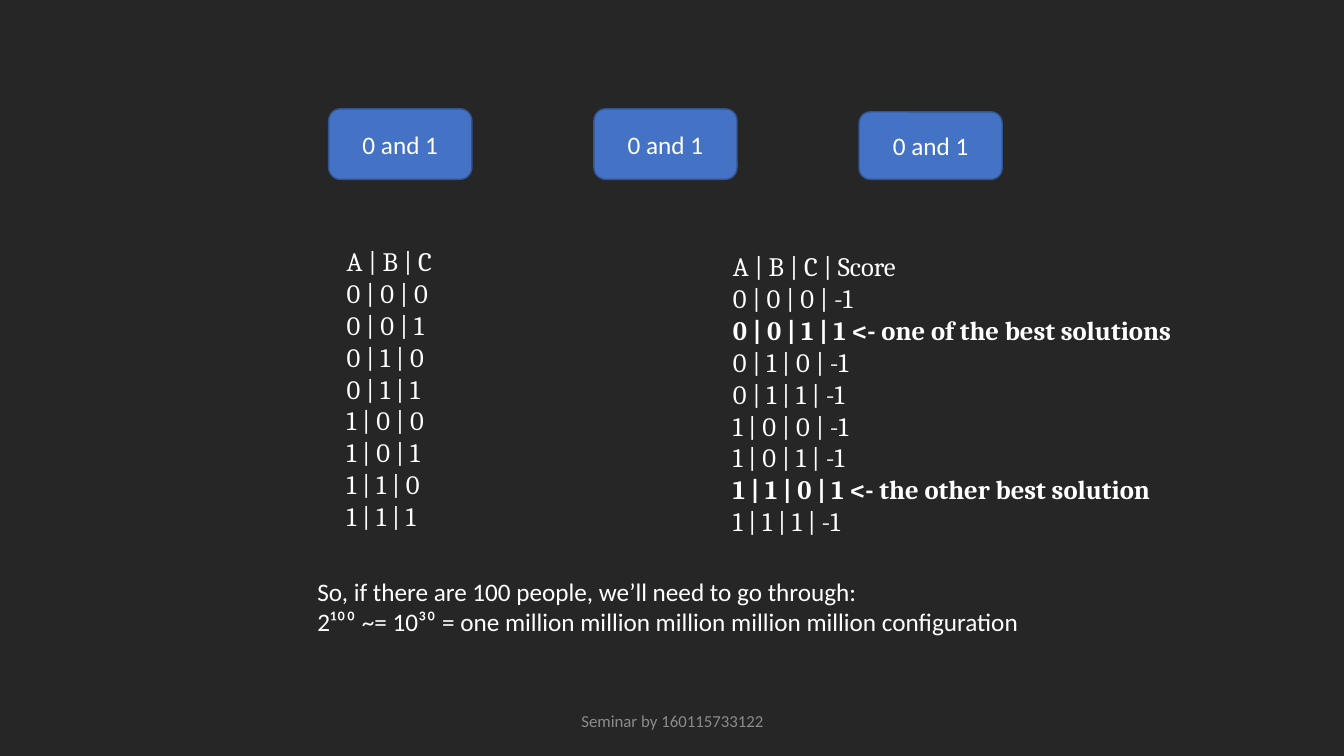
from itertools import product

from pptx import Presentation
from pptx.dml.color import RGBColor
from pptx.enum.shapes import MSO_SHAPE
from pptx.enum.text import MSO_ANCHOR, PP_ALIGN
from pptx.util import Inches, Pt

BACKGROUND = RGBColor(0x26, 0x26, 0x26)
BLUE = RGBColor(0x44, 0x72, 0xC4)
DARK_BLUE = RGBColor(0x32, 0x54, 0x91)
WHITE = RGBColor(0xFF, 0xFF, 0xFF)
GREY = RGBColor(0x8C, 0x8C, 0x8C)

CONFIGURATIONS = [" | ".join(bits) for bits in product("01", repeat=3)]
BEST = {
    "0 | 0 | 1": "1 <- one of the best solutions",
    "1 | 1 | 0": "1 <- the other best solution",
}


def write(sp, paragraphs, size=18, font="Calibri", color=WHITE,
          align=PP_ALIGN.LEFT, anchor=MSO_ANCHOR.TOP, wrap=True):
    """Fill a shape with paragraphs, each a list of (line, bold) pairs."""
    tf = sp.text_frame
    tf.word_wrap = wrap
    tf.vertical_anchor = anchor
    for i, lines in enumerate(paragraphs):
        p = tf.add_paragraph() if i else tf.paragraphs[0]
        p.alignment = align
        for j, (line, bold) in enumerate(lines):
            if j:
                p.add_line_break()
            r = p.add_run()
            r.text = line
            r.font.name = font
            r.font.size = Pt(size)
            r.font.bold = bold
            r.font.color.rgb = color


def add_text(s, box, paragraphs, **fmt):
    sp = s.shapes.add_textbox(*map(Inches, box))
    write(sp, paragraphs, **fmt)
    return sp


def add_choice(s, box):
    sp = s.shapes.add_shape(MSO_SHAPE.ROUNDED_RECTANGLE, *map(Inches, box))
    sp.shadow.inherit = False
    sp.fill.solid()
    sp.fill.fore_color.rgb = BLUE
    sp.line.color.rgb = DARK_BLUE
    sp.line.width = Pt(1)
    write(sp, [[("0 and 1", False)]], align=PP_ALIGN.CENTER,
          anchor=MSO_ANCHOR.MIDDLE)


def add_choices(s, left, bottom, heights, width=1.42, pitch=2.63):
    for i, height in enumerate(heights):
        add_choice(s, (left + i * pitch, bottom - height, width, height))


def add_configurations(s, box):
    lines = [(row, False) for row in ["A | B | C"] + CONFIGURATIONS]
    sp = add_text(s, box, [lines], size=19, font="Cambria")
    sp.fill.solid()
    sp.fill.fore_color.rgb = BACKGROUND


def add_scores(s, box):
    lines = [("A | B | C | Score", False)]
    lines += [(f"{row} | {BEST.get(row, '-1')}", row in BEST)
              for row in CONFIGURATIONS]
    add_text(s, box, [lines], size=19, font="Cambria")


def add_conclusion(s, box):
    add_text(s, box, [
        [("So, if there are 100 people, we’ll need to go through:", False)],
        [("2¹⁰⁰ ~= 10³⁰ = one million million million million million "
          "configuration", False)],
    ], wrap=False)


def add_footer(s, box):
    add_text(s, box, [[("Seminar by 160115733122", False)]], size=12,
             color=GREY, align=PP_ALIGN.CENTER, anchor=MSO_ANCHOR.MIDDLE)


def main():
    prs = Presentation()
    prs.slide_width = Inches(13.33)
    prs.slide_height = Inches(7.5)
    s = prs.slides.add_slide(prs.slide_layouts[6])
    s.background.fill.solid()
    s.background.fill.fore_color.rgb = BACKGROUND

    add_choices(s, left=3.26, bottom=1.78, heights=(0.7, 0.7, 0.67))
    add_configurations(s, (3.34, 2.38, 1.25, 2.98))
    add_scores(s, (7.17, 2.43, 4.83, 2.98))
    add_conclusion(s, (3.05, 5.67, 7.24, 1.01))
    add_footer(s, (4.42, 6.95, 4.5, 0.4))
    prs.save("out.pptx")


if __name__ == "__main__":
    main()
